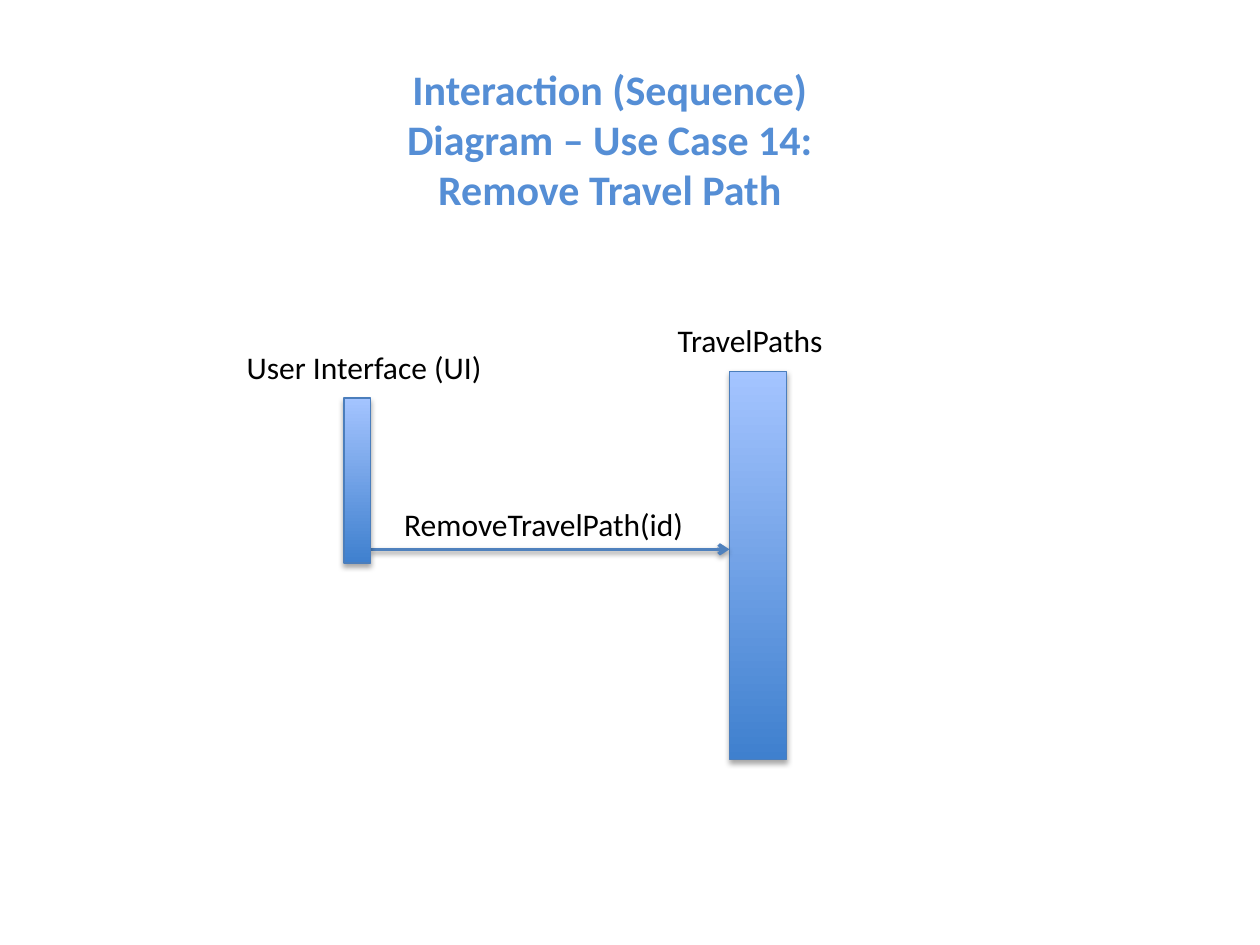
from dataclasses import dataclass

from lxml.etree import SubElement
from pptx import Presentation
from pptx.dml.color import RGBColor
from pptx.enum.shapes import MSO_CONNECTOR, MSO_SHAPE
from pptx.enum.text import MSO_ANCHOR, MSO_AUTO_SIZE, PP_ALIGN
from pptx.oxml.ns import qn
from pptx.util import Inches, Pt

COLORS = {
    "title": "558ED5",
    "text": "000000",
    "bar_bottom": "3F80CE",
    "bar_top": "A4C4FF",
    "bar_line": "4B7EBC",
    "message": "4F81BD",
    "shadow": "000000",
}
LABEL_HEIGHT = 0.4
MESSAGE_TOP = 4.36


@dataclass
class Label:
    text: str
    left: float
    top: float
    width: float


@dataclass
class Lifeline:
    left: float
    top: float
    width: float
    height: float
    label: Label


def color(name: str) -> RGBColor:
    return RGBColor.from_string(COLORS[name])


def format_text(shape, text: str, size: int, color_name: str, bold: bool, frame_format: dict) -> None:
    frame = shape.text_frame
    for name, value in frame_format.items():
        setattr(frame, name, value)
    frame.text = text
    font = frame.paragraphs[0].runs[0].font
    for name, value in {"name": "Calibri", "size": Pt(size), "bold": bold}.items():
        setattr(font, name, value)
    font.color.rgb = color(color_name)


def add_shadow(shape, opacity: int, distance: float) -> None:
    effects = SubElement(shape._element.spPr, qn("a:effectLst"))
    shadow = SubElement(
        effects,
        qn("a:outerShdw"),
        blurRad=str(Pt(3.1)),
        dist=str(Pt(distance)),
        dir="5400000",
        rotWithShape="0",
    )
    shade = SubElement(shadow, qn("a:srgbClr"), val=COLORS["shadow"])
    SubElement(shade, qn("a:alpha"), val=str(opacity * 1000))


def add_label(slide, label: Label) -> None:
    box = slide.shapes.add_textbox(
        Inches(label.left), Inches(label.top), Inches(label.width), Inches(LABEL_HEIGHT)
    )
    frame_format = {"word_wrap": False, "auto_size": MSO_AUTO_SIZE.SHAPE_TO_FIT_TEXT}
    format_text(box, label.text, 18, "text", False, frame_format)


def add_lifeline(slide, lifeline: Lifeline) -> None:
    bar = slide.shapes.add_shape(
        MSO_SHAPE.RECTANGLE,
        Inches(lifeline.left),
        Inches(lifeline.top),
        Inches(lifeline.width),
        Inches(lifeline.height),
    )
    bar.fill.gradient()
    bar.fill.gradient_angle = 90
    for stop, name in zip(bar.fill.gradient_stops, ("bar_bottom", "bar_top")):
        stop.color.rgb = color(name)
    bar.line.color.rgb = color("bar_line")
    bar.line.width = Pt(0.75)
    add_shadow(bar, 35, 1.8)
    add_label(slide, lifeline.label)


def add_message(slide, source: Lifeline, target: Lifeline, label: Label) -> None:
    arrow = slide.shapes.add_connector(
        MSO_CONNECTOR.STRAIGHT,
        Inches(source.left + source.width),
        Inches(MESSAGE_TOP),
        Inches(target.left),
        Inches(MESSAGE_TOP),
    )
    arrow.line.color.rgb = color("message")
    arrow.line.width = Pt(2)
    SubElement(arrow._element.spPr.find(qn("a:ln")), qn("a:tailEnd"), type="arrow")
    add_shadow(arrow, 38, 1.6)
    add_label(slide, label)


def add_title(slide, text: str) -> None:
    title = slide.shapes.title
    position = {"left": 2.91, "top": 0.45, "width": 3.86, "height": 1.31}
    for name, value in position.items():
        setattr(title, name, Inches(value))
    frame_format = {
        "word_wrap": True,
        "auto_size": MSO_AUTO_SIZE.SHAPE_TO_FIT_TEXT,
        "vertical_anchor": MSO_ANCHOR.TOP,
    }
    format_text(title, text, 24, "title", True, frame_format)
    title.text_frame.paragraphs[0].alignment = PP_ALIGN.CENTER


def main() -> None:
    presentation = Presentation()
    presentation.slide_width = Inches(10)
    presentation.slide_height = Inches(7.5)
    slide = presentation.slides.add_slide(presentation.slide_layouts.get_by_name("Title Only"))

    user_interface = Lifeline(2.73, 3.16, 0.21, 1.31, Label("User Interface (UI)", 1.86, 2.71, 2.09))
    travel_paths = Lifeline(5.79, 2.95, 0.45, 3.08, Label("TravelPaths", 5.28, 2.5, 1.4))

    add_title(slide, "Interaction (Sequence) Diagram – Use Case 14: Remove Travel Path")
    add_lifeline(slide, travel_paths)
    add_message(slide, user_interface, travel_paths, Label("RemoveTravelPath(id)", 3.11, 3.96, 2.58))
    add_lifeline(slide, user_interface)
    presentation.save("out.pptx")


main()
